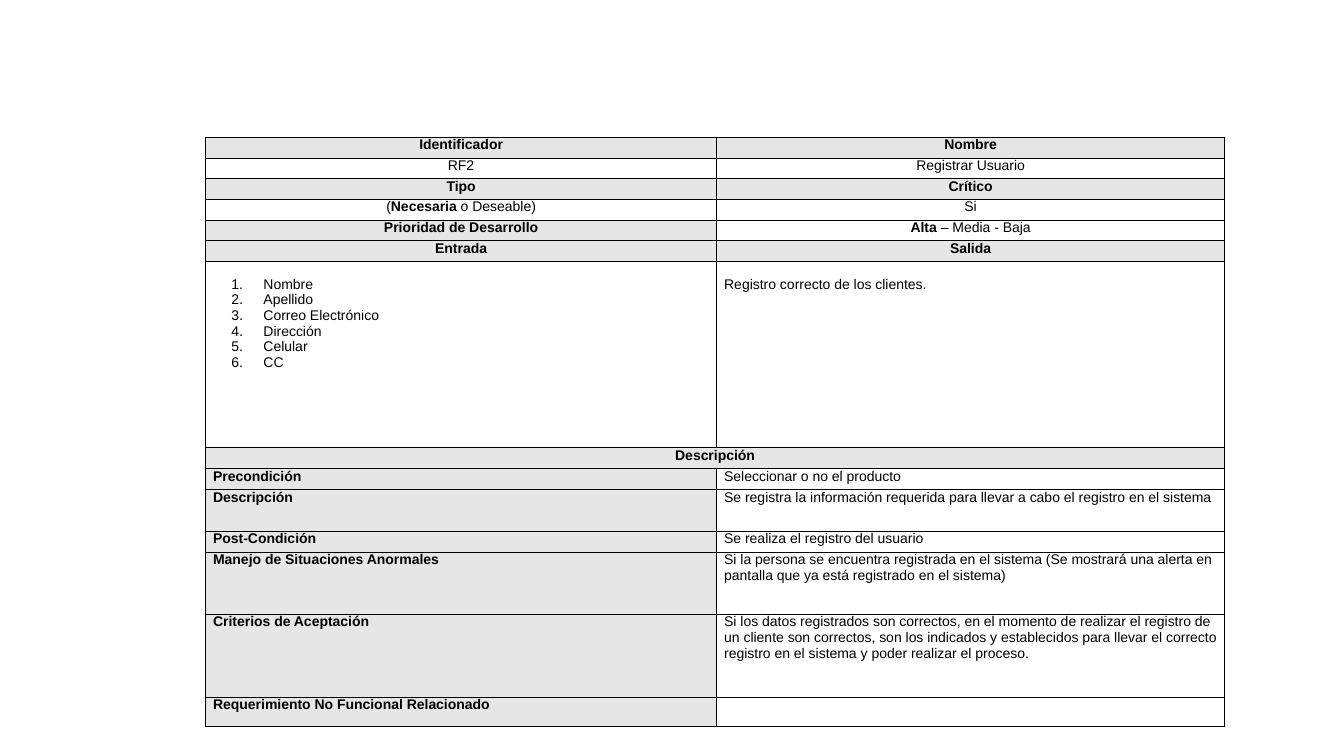
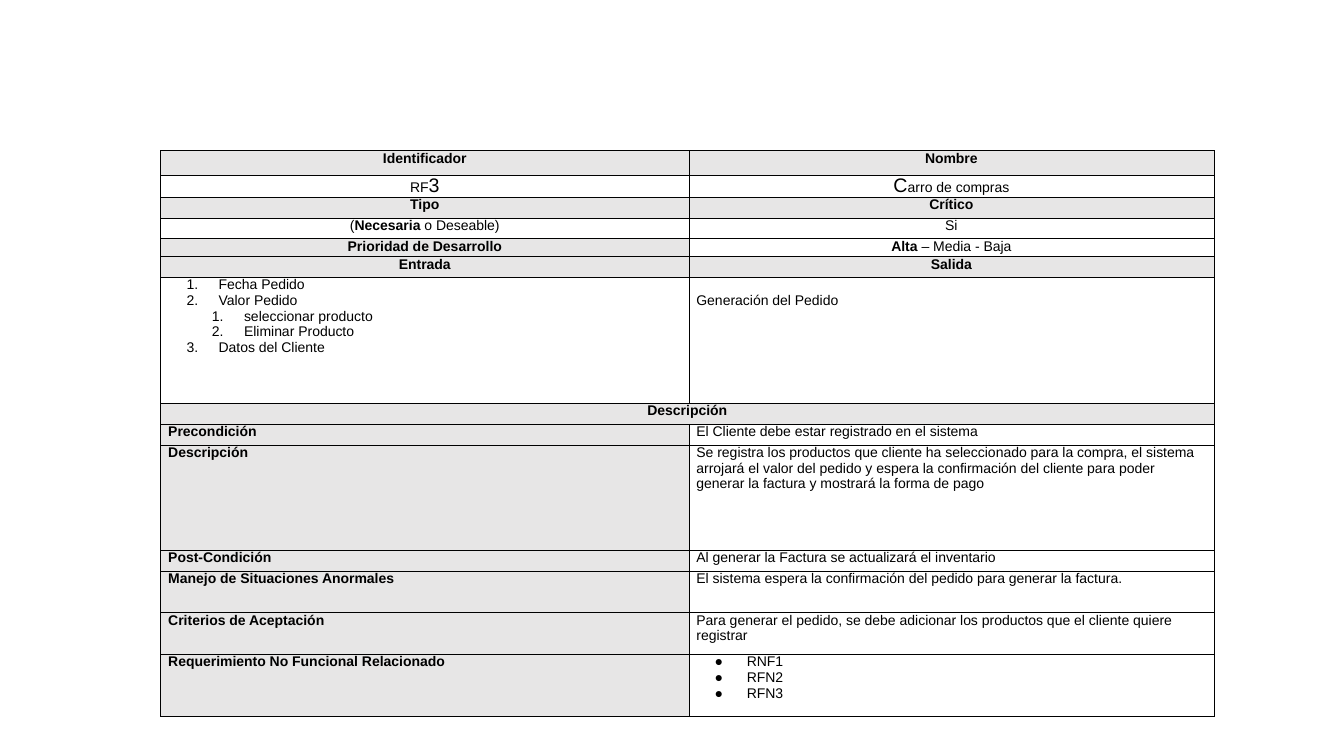
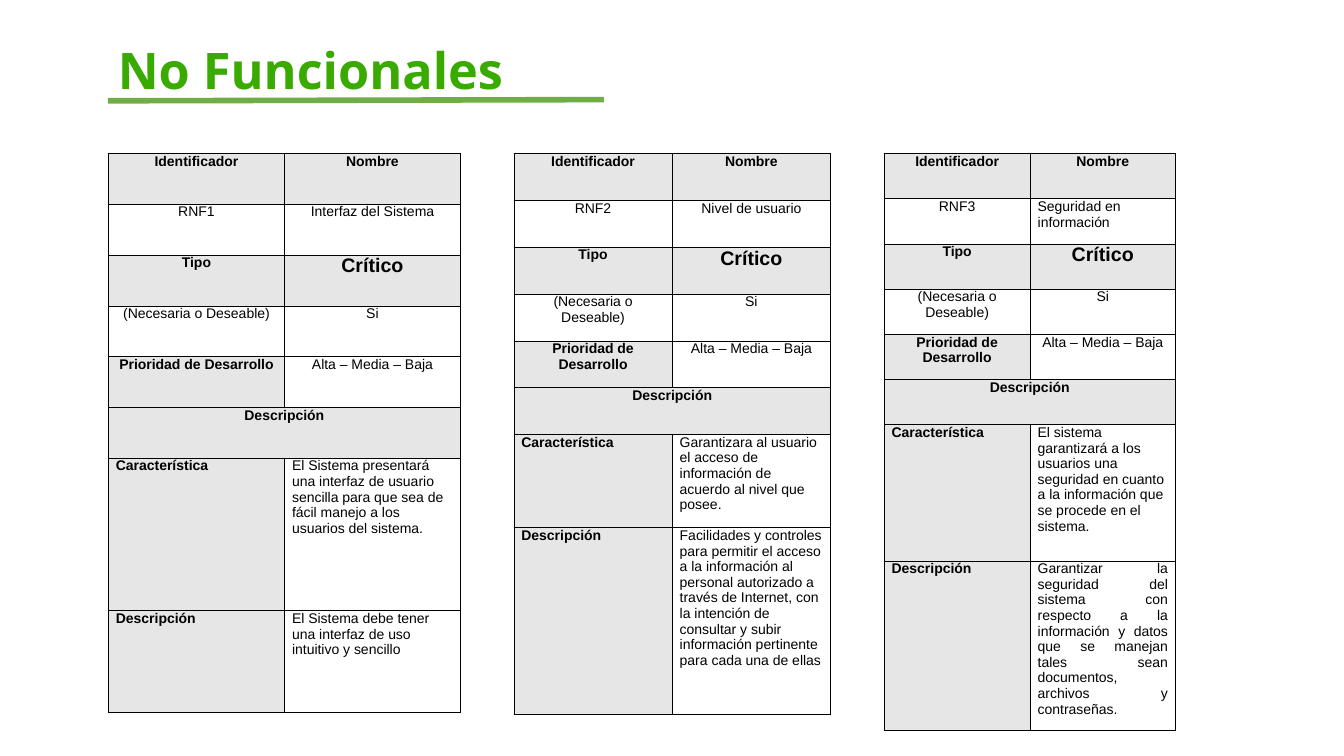
from collections import namedtuple

from lxml import etree
from pptx import Presentation
from pptx import util as u
from pptx.dml.color import RGBColor
from pptx.enum import shapes, text
from pptx.oxml import ns

BLACK = RGBColor(0x00, 0x00, 0x00)
WHITE = RGBColor(0xFF, 0xFF, 0xFF)
SHADE = RGBColor(0xE7, 0xE6, 0xE6)
TITLE_GREEN = RGBColor(0x38, 0xAA, 0x00)
RULE_GREEN = RGBColor(0x70, 0xAD, 0x47)

BODY_FONT, TITLE_FONT = "Arial", "Open Sans"
BODY_SIZE, LARGE_SIZE = 10, 14
LINE_HEIGHT = 0.39

LEFT = text.PP_ALIGN.LEFT
CENTER = text.PP_ALIGN.CENTER
JUSTIFY = text.PP_ALIGN.JUSTIFY

Run = namedtuple("Run", "text bold size", defaults=(None, None))
Entry = namedtuple("Entry", "runs align top", defaults=(None, 0))
Items = namedtuple("Items", "lines mark")
Item = namedtuple("Item", "text level", defaults=(0,))
Style = namedtuple("Style", "shaded align")
Box = namedtuple("Box", "left top widths heights")

LABEL, VALUE = Style(True, CENTER), Style(False, CENTER)
FIELD, DETAIL = Style(True, LEFT), Style(False, LEFT)
ROW_STYLES = {
    "labels": (LABEL, LABEL),
    "values": (VALUE, VALUE),
    "priority": (LABEL, VALUE),
    "details": (DETAIL, DETAIL),
    "band": (LABEL, LABEL),
    "field": (FIELD, DETAIL),
}


def add_child(parent, tag, **attributes):
    """Append a DrawingML element and return it."""
    return etree.SubElement(parent, ns.qn(tag), attributes)


def draw_borders(cell):
    """Give a cell thin black borders on its four sides."""
    properties = cell._tc.get_or_add_tcPr()
    for position, side in enumerate(("a:lnL", "a:lnR", "a:lnT", "a:lnB")):
        border = etree.Element(ns.qn(side), w=str(u.Pt(0.5)))
        add_child(add_child(border, "a:solidFill"), "a:srgbClr", val=str(BLACK))
        properties.insert(position, border)


def add_bullet(paragraph, mark, level):
    """Indent a paragraph and number it, or mark it with a character."""
    paragraph.level = level
    properties = paragraph._p.get_or_add_pPr()
    properties.set("marL", str(u.Cm(1.27 + 0.64 * level)))
    properties.set("indent", str(u.Cm(-0.81)))
    add_child(add_child(properties, "a:buClr"), "a:srgbClr", val=str(BLACK))
    add_child(properties, "a:buFont", typeface=BODY_FONT)
    if mark == "1.":
        add_child(properties, "a:buAutoNum", type="arabicPeriod")
    else:
        add_child(properties, "a:buChar", char=mark)


def set_font(font, name, size, color, bold):
    """Set the family, size, colour and weight of a font."""
    font.name, font.size, font.bold = name, u.Pt(size), bold
    font.color.rgb = color


def write_paragraph(paragraph, runs, style, align):
    """Write runs into a table paragraph, overriding only what differs."""
    paragraph.alignment = align
    set_font(paragraph.font, BODY_FONT, BODY_SIZE, BLACK, style.shaded)
    for part in runs:
        run = paragraph.add_run()
        run.text = part.text
        if part.bold is not None:
            run.font.bold = part.bold
        if part.size:
            run.font.size = u.Pt(part.size)


def fill_cell(cell, content, style):
    """Style one cell and write a string, an entry or a list into it."""
    cell.fill.solid()
    cell.fill.fore_color.rgb = SHADE if style.shaded else WHITE
    draw_borders(cell)
    cell.margin_left = cell.margin_right = u.Cm(0.19)
    cell.margin_top = cell.margin_bottom = 0
    frame = cell.text_frame
    if isinstance(content, Items):
        for index, item in enumerate(content.lines):
            paragraph = frame.add_paragraph() if index else frame.paragraphs[0]
            add_bullet(paragraph, content.mark, item.level)
            write_paragraph(paragraph, [Run(item.text)], style, style.align)
        return
    entry = content if isinstance(content, Entry) else Entry([Run(content)] if content else [])
    cell.margin_top = u.Cm(entry.top)
    write_paragraph(frame.paragraphs[0], entry.runs, style, entry.align or style.align)


def add_sheet(slide, box, rows):
    """Place a two-column requirement table in its box."""
    sheet = slide.shapes.add_table(
        len(rows), 2, u.Cm(box.left), u.Cm(box.top),
        u.Cm(sum(box.widths)), u.Cm(sum(box.heights))).table
    sheet.first_row = sheet.horz_banding = False
    for column, width in zip(sheet.columns, box.widths):
        column.width = u.Cm(width)
    for index, ((kind, *contents), height) in enumerate(zip(rows, box.heights)):
        sheet.rows[index].height = u.Cm(height)
        for column, (content, style) in enumerate(zip(contents, ROW_STYLES[kind])):
            fill_cell(sheet.cell(index, column), content, style)
        if kind == "band":
            sheet.cell(index, 0).merge(sheet.cell(index, 1))


def add_functional(slide, box, code, name, inputs, output, fields):
    """Place the sheet of a functional requirement."""
    names = ("Precondición", "Descripción", "Post-Condición",
             "Manejo de Situaciones Anormales", "Criterios de Aceptación",
             "Requerimiento No Funcional Relacionado")
    add_sheet(slide, box, [
        ("labels", "Identificador", "Nombre"),
        ("values", code, name),
        ("labels", "Tipo", "Crítico"),
        ("values", Entry([Run("("), Run("Necesaria ", True), Run("o Deseable)")]), "Si"),
        ("priority", "Prioridad de Desarrollo",
         Entry([Run("Alta", True), Run(" – Media - Baja")])),
        ("labels", "Entrada", "Salida"),
        ("details", inputs, Entry([Run(output)], top=LINE_HEIGHT)),
        ("band", "Descripción", ""),
        *(("field", *pair) for pair in zip(names, fields)),
    ])


def add_non_functional(slide, box, code, name, feature, description):
    """Place the sheet of a non-functional requirement."""
    add_sheet(slide, box, [
        ("labels", "Identificador", "Nombre"),
        ("values", code, name),
        ("labels", "Tipo", Entry([Run("Crítico", size=LARGE_SIZE)])),
        ("values", "(Necesaria o Deseable)", "Si"),
        ("priority", "Prioridad de Desarrollo", "Alta – Media – Baja"),
        ("band", "Descripción", ""),
        ("field", "Característica", feature),
        ("field", "Descripción", description),
    ])


def add_title(slide, left, top, title):
    """Place a green title with a rule beneath it."""
    heading = slide.shapes.add_textbox(u.Cm(left), u.Cm(top), u.Cm(10.49), u.Cm(1.9))
    frame = heading.text_frame
    frame.word_wrap = True
    frame.margin_left = frame.margin_right = u.Cm(0.25)
    frame.margin_top = frame.margin_bottom = u.Cm(0.25)
    paragraph = frame.paragraphs[0]
    paragraph.text = title
    paragraph.line_spacing = 0.9
    set_font(paragraph.font, TITLE_FONT, 36, TITLE_GREEN, True)
    rule = slide.shapes.add_connector(
        shapes.MSO_CONNECTOR.STRAIGHT, u.Cm(left), u.Cm(top + 1.63),
        u.Cm(left + 12.5), u.Cm(top + 1.6))
    rule.line.color.rgb = RULE_GREEN
    rule.line.width = u.Pt(4)
    add_child(rule._element.spPr, "a:effectLst")


def build_register(slide):
    """Build the user registration requirement."""
    box = Box(5.18, 3.46, (12.88, 12.8),
              (*[0.52] * 6, 4.7, 0.53, 0.53, 1.04, 0.53, 1.57, 2.08, 0.73))
    names = ("Nombre", "Apellido", "Correo Electrónico", "Dirección", "Celular", "CC")
    numbered = Items([Item(name) for name in names], "1.")
    add_functional(
        slide, box, "RF2", "Registrar Usuario", numbered,
        "Registro correcto de los clientes.",
        ("Seleccionar o no el producto",
         "Se registra la información requerida para llevar a cabo el registro en el sistema",
         "Se realiza el registro del usuario",
         "Si la persona se encuentra registrada en el sistema (Se mostrará una alerta en "
         "pantalla que ya está registrado en el sistema)",
         "Si los datos registrados son correctos, en el momento de realizar el registro de "
         "un cliente son correctos, son los indicados y establecidos para llevar el correcto "
         "registro en el sistema y poder realizar el proceso.",
         ""))
    inputs = slide.shapes[0].table.cell(6, 0)
    inputs.margin_top = u.Cm(LINE_HEIGHT)


def build_cart(slide):
    """Build the shopping cart requirement."""
    box = Box(4.05, 3.8, (13.31, 13.23),
              (0.61, 0.55, 0.53, 0.52, 0.45, 0.52, 3.17, 0.53, 0.53, 2.64, 0.53,
               1.05, 1.05, 1.57))
    inputs = Items([Item("Fecha Pedido"), Item("Valor Pedido"),
                    Item("seleccionar producto", 1), Item("Eliminar Producto", 1),
                    Item("Datos del Cliente")], "1.")
    add_functional(
        slide, box,
        Entry([Run("RF"), Run("3", size=LARGE_SIZE)]),
        Entry([Run("C", size=LARGE_SIZE), Run("arro de compras")]),
        inputs, "Generación del Pedido",
        ("El Cliente debe estar registrado en el sistema",
         "Se registra los productos que cliente ha seleccionado para la compra, el sistema "
         "arrojará el valor del pedido y espera la confirmación del cliente para poder generar "
         "la factura y mostrará la forma de pago",
         "Al generar la Factura se actualizará el inventario",
         "El sistema espera la confirmación del pedido para generar la factura.",
         "Para generar el pedido, se debe adicionar los productos que el cliente quiere "
         "registrar",
         Items([Item("RNF1"), Item("RFN2"), Item("RFN3")], "●")))


def build_non_functional(slide):
    """Build the three non-functional requirements side by side."""
    top = 3.87
    add_title(slide, 2.72, 0.91, "No Funcionales")
    add_non_functional(
        slide, Box(2.73, top, (4.44, 4.43), (*[1.28] * 6, 3.84, 2.57)),
        "RNF1", "Interfaz del Sistema",
        "El Sistema presentará una interfaz de usuario sencilla para que sea de fácil manejo "
        "a los usuarios del sistema.",
        "El Sistema debe tener una interfaz de uso intuitivo y sencillo")
    add_non_functional(
        slide, Box(12.95, top, (3.99, 3.99), (*[1.18] * 6, 2.35, 4.7)),
        "RNF2", "Nivel de usuario",
        "Garantizara al usuario el acceso de información de acuerdo al nivel que posee.",
        "Facilidades y controles para permitir el acceso a la información al personal "
        "autorizado a través de Internet, con la intención de consultar y subir información "
        "pertinente para cada una de ellas")
    add_non_functional(
        slide, Box(22.28, top, (3.68, 3.66), (*[1.14] * 6, 3.43, 4.27)),
        "RNF3", Entry([Run("Seguridad en información")], LEFT),
        "El sistema garantizará a los usuarios una seguridad en cuanto a la información que "
        "se procede en el sistema.",
        Entry([Run("Garantizar la seguridad del sistema con respecto a la información y datos "
                   "que se manejan tales sean documentos, archivos y contraseñas.")], JUSTIFY))


def main():
    """Build the presentation and save it."""
    deck = Presentation()
    deck.slide_width, deck.slide_height = u.Cm(33.87), u.Cm(19.05)
    for build in (build_register, build_cart, build_non_functional):
        build(deck.slides.add_slide(deck.slide_layouts[6]))
    deck.save("out.pptx")


if __name__ == "__main__":
    main()
